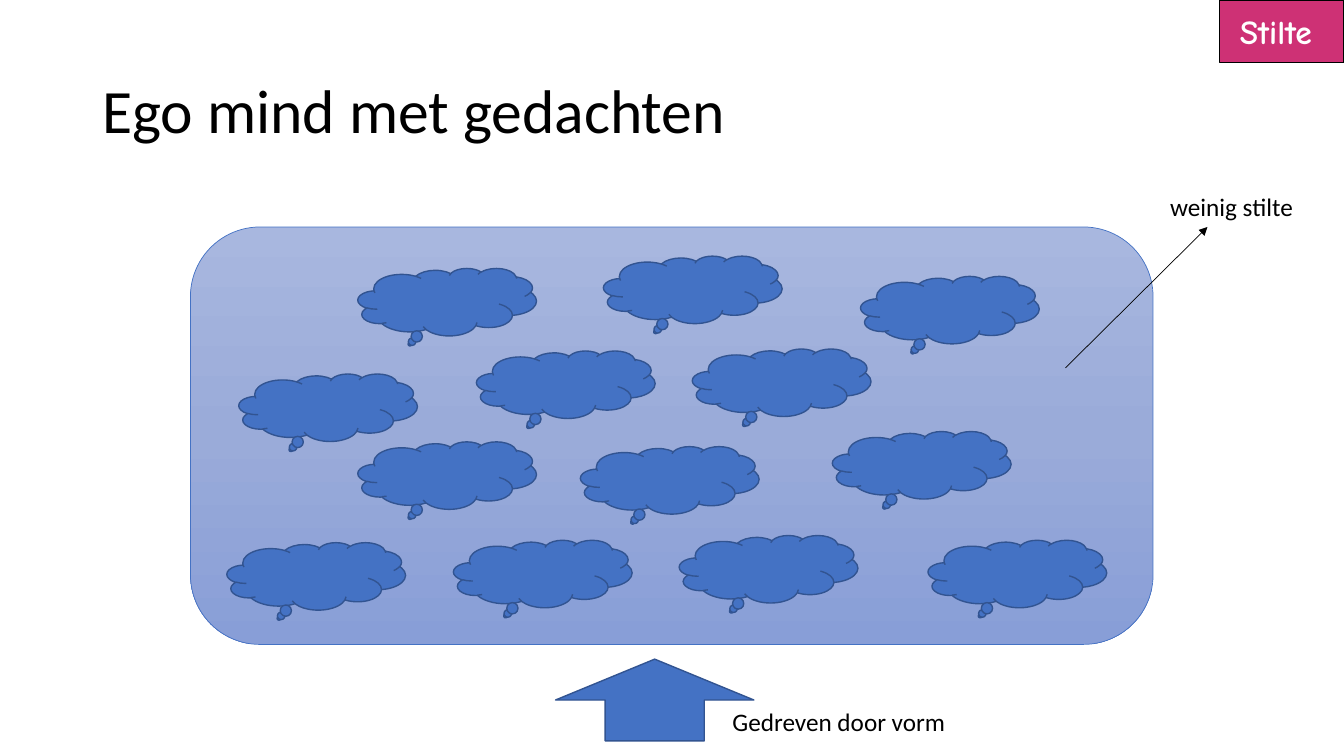
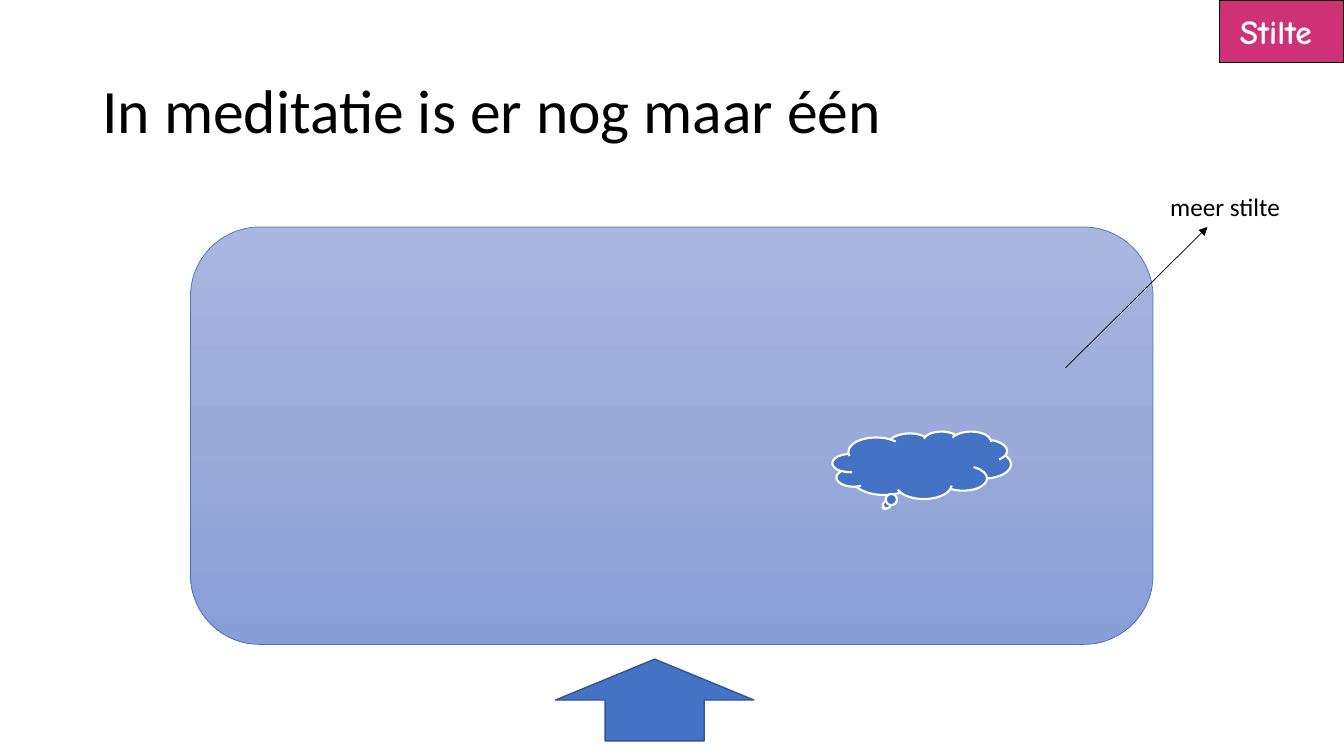
"""Build two slides on thoughts in the ego mind and in meditation."""
from copy import deepcopy

from lxml import etree
from pptx import Presentation
from pptx.dml.color import RGBColor
from pptx.enum.shapes import MSO_CONNECTOR, MSO_SHAPE
from pptx.enum.text import MSO_ANCHOR, PP_ALIGN
from pptx.oxml.ns import qn
from pptx.util import Cm, Pt

STRAIGHT = MSO_CONNECTOR.STRAIGHT
RECT, ROUNDED = MSO_SHAPE.RECTANGLE, MSO_SHAPE.ROUNDED_RECTANGLE
CLOUD, UP_ARROW = MSO_SHAPE.CLOUD_CALLOUT, MSO_SHAPE.UP_ARROW
MIDDLE, TOP = MSO_ANCHOR.MIDDLE, MSO_ANCHOR.TOP
LEFT, CENTER = PP_ALIGN.LEFT, PP_ALIGN.CENTER

COLORS = {"blue": "4472C4", "navy": "325491", "pink": "CE3175",
          "black": "000000", "white": "FFFFFF"}
GRADIENT = [(0, "A8B7DF"), (0.5, "9AABD9"), (1, "889ED7")]
FONT, TAG_FONT = "Calibri", "Comic Neue"

TAG = "Stilte "
TITLE_BOX = (2.33, 1.01, 29.21, 3.68)
TAG_BOX = (30.74, 0, 3.13, 1.57)
MIND_BOX = (4.8, 5.72, 24.26, 10.52)
DRIVE_BOX = (14, 16.61, 5, 2.06)
CLOUD_SIZE = (4.5, 1.7)
POINTER = (26.85, 9.27, 30.43, 5.72)

SLIDES = [
    {"title": "Ego mind met gedachten",
     "cloud_line": ("navy", 1),
     "clouds": [(6.02, 9.42), (14.63, 11.25), (9.02, 11.13), (23.39, 13.61),
                (11.43, 13.61), (5.72, 13.67), (17.12, 13.49), (20.98, 10.87),
                (12.01, 8.84), (17.45, 8.79), (9.02, 6.76), (15.21, 6.45),
                (21.69, 6.96)],
     "labels": [("weinig stilte", (29.24, 4.7, 3.66, 1.02)),
                ("Gedreven door vorm", (18.21, 17.68, 5.94, 1.02))]},
    {"title": "In meditatie is er nog maar één",
     "cloud_line": ("white", 1.5),
     "clouds": [(20.98, 10.87)],
     "labels": [("meer stilte", (29.24, 4.7, 3.3, 1.02))]},
]


def rgb(name):
    return RGBColor.from_string(COLORS[name])


def add_shape(slide, kind, box, fill, line, width):
    sp = slide.shapes.add_shape(kind, *map(Cm, box))
    sp.shadow.inherit = False
    if fill:
        sp.fill.solid()
        sp.fill.fore_color.rgb = rgb(fill)
    sp.line.color.rgb = rgb(line)
    sp.line.width = Pt(width)
    return sp


def write(sp, text, size, color="black", font=FONT, bold=False,
          align=LEFT, anchor=TOP, wrap=True):
    tf = sp.text_frame
    tf.word_wrap = wrap
    tf.vertical_anchor = anchor
    p = tf.paragraphs[0]
    p.alignment = align
    r = p.add_run()
    r.text = text
    r.font.name, r.font.size, r.font.bold = font, Pt(size), bold
    r.font.color.rgb = rgb(color)
    return p


def add_text(slide, box, text, size, **style):
    return write(slide.shapes.add_textbox(*map(Cm, box)), text, size, **style)


def add_mind(slide):
    sp = add_shape(slide, ROUNDED, MIND_BOX, None, "blue", 0.5)
    sp.fill.gradient()
    sp.fill.gradient_angle = 270
    stops = sp._element.spPr.find(qn("a:gradFill")).find(qn("a:gsLst"))
    stops.insert(1, deepcopy(stops[0]))
    for stop, (position, color) in zip(sp.fill.gradient_stops, GRADIENT):
        stop.position = position
        stop.color.rgb = RGBColor.from_string(color)


def add_pointer(slide):
    cx = slide.shapes.add_connector(STRAIGHT, *map(Cm, POINTER))
    cx.line.color.rgb = rgb("black")
    cx.line.width = Pt(0.5)
    ln = cx.line._get_or_add_ln()
    etree.SubElement(ln, qn("a:tailEnd"), type="triangle")
    etree.SubElement(cx._element.spPr, qn("a:effectLst"))


def build_slide(prs, content):
    slide = prs.slides.add_slide(prs.slide_layouts[6])
    add_mind(slide)
    title = add_text(slide, TITLE_BOX, content["title"], 44, anchor=MIDDLE)
    title.line_spacing = 0.9
    tag = add_shape(slide, RECT, TAG_BOX, "pink", "black", 1)
    write(tag, TAG, 24, "white", TAG_FONT, True, CENTER, MIDDLE)
    for corner in content["clouds"]:
        add_shape(slide, CLOUD, corner + CLOUD_SIZE, "blue", *content["cloud_line"])
    add_shape(slide, UP_ARROW, DRIVE_BOX, "blue", "navy", 1)
    add_pointer(slide)
    for text, box in content["labels"]:
        add_text(slide, box, text, 18, wrap=False)


def main():
    prs = Presentation()
    prs.slide_width, prs.slide_height = Cm(33.87), Cm(19.05)
    for content in SLIDES:
        build_slide(prs, content)
    prs.save("out.pptx")


if __name__ == "__main__":
    main()
